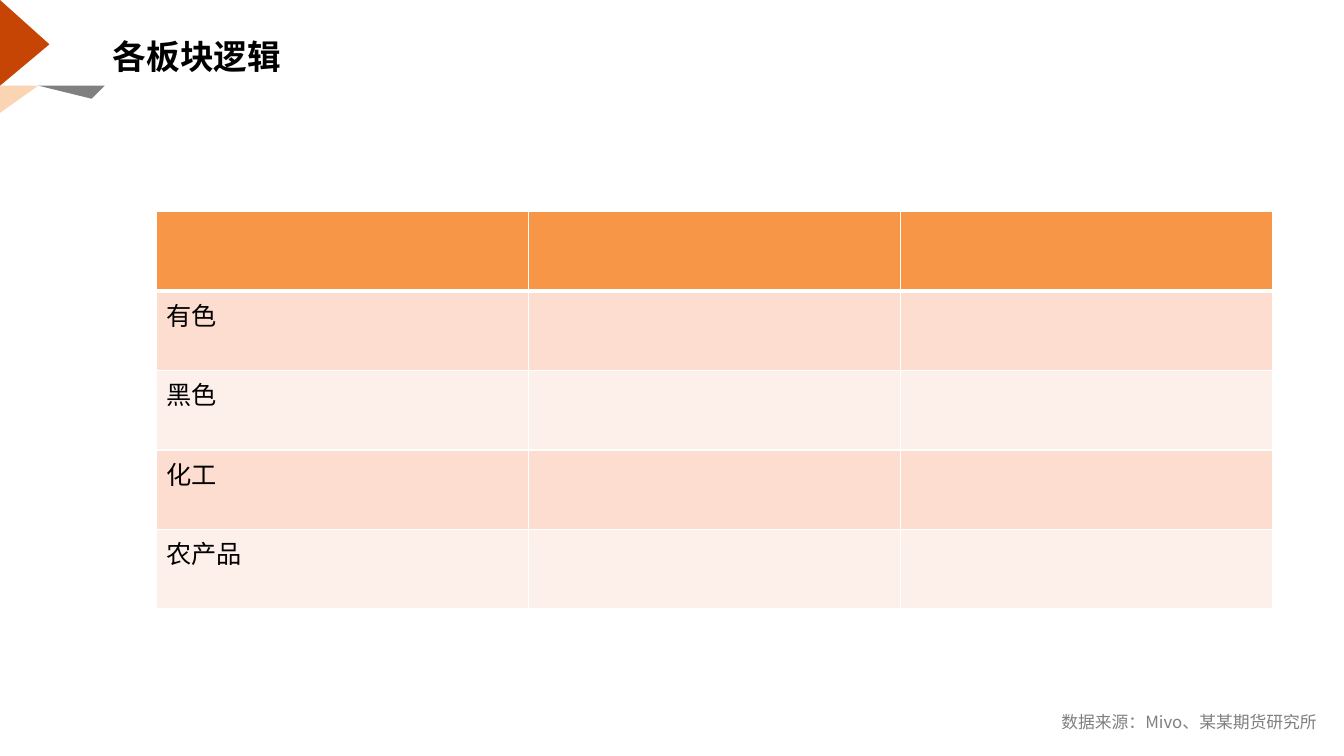
from lxml import etree
from pptx import Presentation
from pptx.dml.color import RGBColor
from pptx.enum.text import MSO_ANCHOR, PP_ALIGN
from pptx.oxml.ns import qn
from pptx.util import Inches, Pt

LEFT, RIGHT, TOP = PP_ALIGN.LEFT, PP_ALIGN.RIGHT, MSO_ANCHOR.TOP
CJK_FONT, TABLE_FONT = "Noto Sans CJK SC", "Cabin"
COLORS = {
    "rust": "C64504", "peach": "FAC090", "gray": "808080", "black": "000000",
    "white": "FFFFFF", "header": "F79646", "band_dark": "FCDDCF", "band_light": "FDEFE9",
}
SECTORS = ["有色", "黑色", "化工", "农产品"]
COLUMN_COUNT = 3


class SlideBuilder:
    def __init__(self, slide):
        self.slide = slide

    def paint(self, fill, color):
        fill.solid()
        fill.fore_color.rgb = RGBColor.from_string(COLORS[color])

    def format_text(self, text_frame, size, color, font=CJK_FONT, bold=False, align=LEFT):
        for paragraph in text_frame.paragraphs:
            paragraph.alignment = align
            for run in paragraph.runs:
                run.font.size = Pt(size)
                run.font.bold = bold
                run.font.name = font
                run.font.color.rgb = RGBColor.from_string(COLORS[color])
                properties = run._r.get_or_add_rPr()
                etree.SubElement(properties, qn("a:ea"), typeface=CJK_FONT)

    def polygon(self, points, color, opacity=100):
        start, *others = [(Inches(x), Inches(y)) for x, y in points]
        builder = self.slide.shapes.build_freeform(*start)
        builder.add_line_segments(others, close=True)
        shape = builder.convert_to_shape()
        shape.shadow.inherit = False
        shape.line.fill.background()
        self.paint(shape.fill, color)
        if opacity < 100:
            color_element = shape.fill._xPr.find(qn("a:solidFill"))[0]
            etree.SubElement(color_element, qn("a:alpha"), val=str(opacity * 1000))

    def text(self, text, box, size, color, margins=(0.1, 0.05, 0.1, 0.05), **style):
        """Add a text box; margins run left, top, right, bottom."""
        text_frame = self.slide.shapes.add_textbox(*map(Inches, box)).text_frame
        text_frame.word_wrap = True
        text_frame.vertical_anchor = TOP
        (text_frame.margin_left, text_frame.margin_top,
         text_frame.margin_right, text_frame.margin_bottom) = map(Inches, margins)
        text_frame.text = text
        self.format_text(text_frame, size, color, **style)

    def cell_borders(self, cell, bottom_width):
        properties = cell._tc.get_or_add_tcPr()
        widths = {"a:lnL": 1, "a:lnR": 1, "a:lnT": 1, "a:lnB": bottom_width}
        for position, (side, width) in enumerate(widths.items()):
            line = etree.Element(qn(side), w=str(Pt(width)))
            fill = etree.SubElement(line, qn("a:solidFill"))
            etree.SubElement(fill, qn("a:srgbClr"), val=COLORS["white"])
            properties.insert(position, line)

    def sector_table(self, box):
        """Add an empty header row, then one banded row per sector."""
        labels = [""] + SECTORS
        table = self.slide.shapes.add_table(
            len(labels), COLUMN_COUNT, *map(Inches, box)).table
        for row_index, label in enumerate(labels):
            is_header = row_index == 0
            band = "band_dark" if row_index % 2 else "band_light"
            for column_index in range(COLUMN_COUNT):
                cell = table.cell(row_index, column_index)
                self.paint(cell.fill, "header" if is_header else band)
                self.cell_borders(cell, 3 if is_header else 1)
            first_cell = table.cell(row_index, 0)
            if label:
                first_cell.text_frame.text = label
                self.format_text(first_cell.text_frame, 18, "black", TABLE_FONT)


def main():
    presentation = Presentation()
    presentation.slide_width = Inches(13.33)
    presentation.slide_height = Inches(7.5)
    builder = SlideBuilder(presentation.slides.add_slide(presentation.slide_layouts[6]))

    builder.polygon([(0.49, 0.44), (0, 0), (0, 0.85)], "rust")
    builder.polygon([(0, 1.12), (0.38, 0.85), (0, 0.85)], "peach", opacity=67)
    builder.polygon([(1.04, 0.85), (0.91, 0.98), (0.38, 0.85)], "gray")
    builder.text("各板块逻辑", (1.12, 0.36, 11.5, 0.58), 24, "black",
                 margins=(0, 0, 0, 0.05), bold=True)
    builder.text("数据来源：Mivo、某某期货研究所", (10.13, 7.01, 3.03, 0.3), 12, "gray",
                 align=RIGHT)
    builder.sector_table((1.55, 2.1, 11.07, 3.94))
    presentation.save("out.pptx")


if __name__ == "__main__":
    main()
